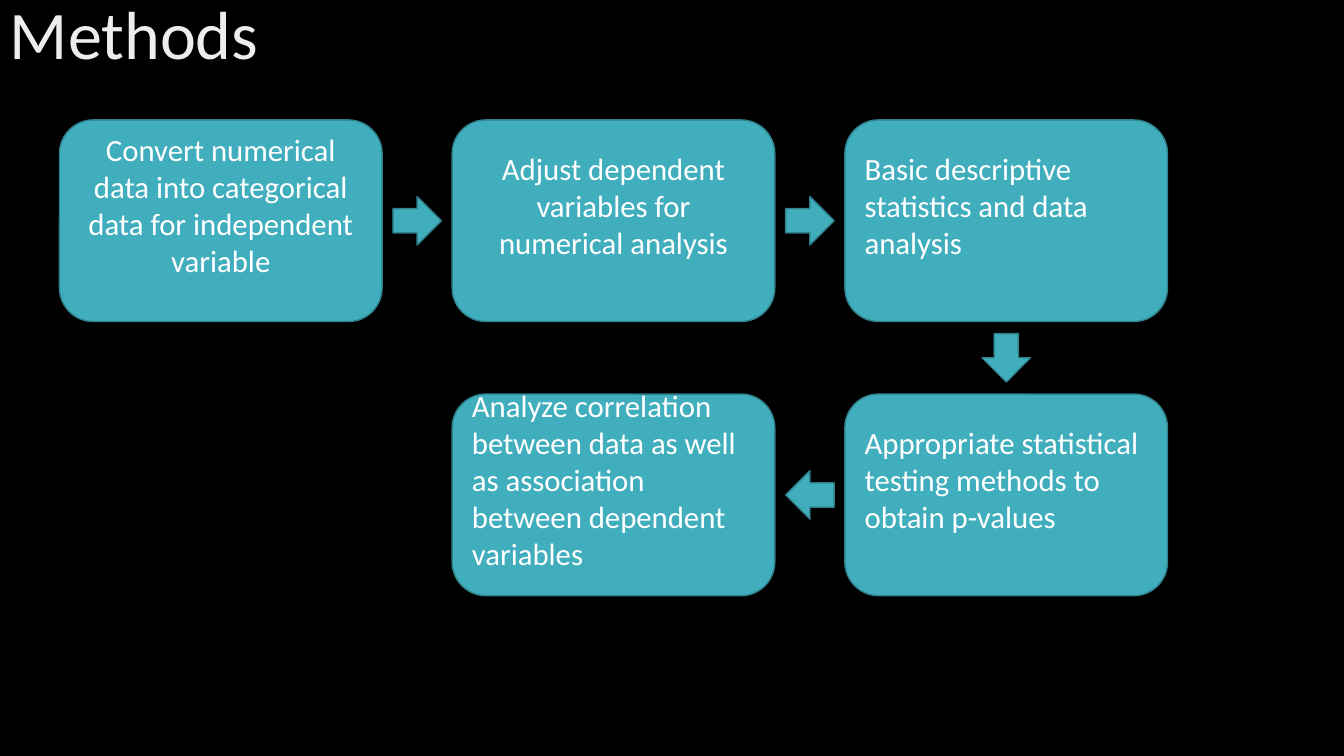
from itertools import pairwise
from math import atan2, degrees

from pptx import Presentation
from pptx.dml.color import RGBColor
from pptx.enum.shapes import MSO_SHAPE as Shape
from pptx.enum.text import MSO_ANCHOR as Anchor, PP_ALIGN as Align
from pptx.util import Inches, Pt

SLIDE_W, SLIDE_H = 13.33, 7.5
FONT = "Calibri"
TEAL, TEAL_EDGE = "41AEBD", "30818C"

# Flow grid: column and row pitch, step box and arrow size
COL_PITCH, ROW_PITCH = 3.895, 2.72
STEP_W, STEP_H = 3.2, 2
ARROW = 0.48

# Step text, (column, row), alignment, in order of the flow
STEPS = [
    ("Convert numerical data into categorical data for independent variable",
     (0, 0), Align.CENTER),
    ("Adjust dependent variables for numerical analysis", (1, 0), Align.CENTER),
    ("Basic descriptive statistics and data analysis", (2, 0), Align.LEFT),
    ("Appropriate statistical testing methods to obtain p-values",
     (2, 1), Align.LEFT),
    ("Analyze correlation between data as well as association between "
     "dependent variables", (1, 1), Align.LEFT),
]


def color(hex_code):
    return RGBColor.from_string(hex_code)


def write(holder, text, size, fill="FFFFFF", align=Align.LEFT, spacing=1.0,
          bottom=0.05):
    frame = holder.text_frame
    frame.word_wrap = True
    frame.vertical_anchor = Anchor.MIDDLE
    frame.margin_bottom = Inches(bottom)
    paragraph = frame.paragraphs[0]
    paragraph.alignment = align
    paragraph.line_spacing = spacing
    run = paragraph.add_run()
    run.text = text
    run.font.name = FONT
    run.font.size = Pt(size)
    run.font.color.rgb = color(fill)


def add_teal(slide, preset, center, width, height):
    x, y = center
    block = slide.shapes.add_shape(
        preset, Inches(x - width / 2), Inches(y - height / 2),
        Inches(width), Inches(height))
    block.shadow.inherit = False
    block.fill.solid()
    block.fill.fore_color.rgb = color(TEAL)
    block.line.color.rgb = color(TEAL_EDGE)
    block.line.width = Pt(1)
    return block


def add_title(slide, left, top, width, height):
    title = slide.shapes.add_textbox(
        Inches(left), Inches(top), Inches(width), Inches(height))
    write(title, "Methods", 48.6, fill="EDEDED", spacing=0.9)


def add_flow(slide, left, top):
    centers = [(left + col * COL_PITCH + STEP_W / 2,
                top + row * ROW_PITCH + STEP_H / 2)
               for _, (col, row), _ in STEPS]

    # Steps: the deep bottom margin lifts the text above the middle
    for (text, _, align), center in zip(STEPS, centers):
        step = add_teal(slide, Shape.ROUNDED_RECTANGLE, center, STEP_W, STEP_H)
        write(step, text, 22, align=align, bottom=0.36)

    # Arrows: halfway between neighbours, turned towards the next step
    for (x1, y1), (x2, y2) in pairwise(centers):
        middle = ((x1 + x2) / 2, (y1 + y2) / 2)
        arrow = add_teal(slide, Shape.RIGHT_ARROW, middle, ARROW, ARROW)
        arrow.rotation = degrees(atan2(y2 - y1, x2 - x1))


def main():
    deck = Presentation()
    deck.slide_width, deck.slide_height = Inches(SLIDE_W), Inches(SLIDE_H)
    slide = deck.slides.add_slide(deck.slide_layouts[6])
    slide.background.fill.solid()
    slide.background.fill.fore_color.rgb = color("000000")
    add_title(slide, 0, 0, 4.49, 0.74)
    add_flow(slide, 0.59, 1.19)
    deck.save("out.pptx")


if __name__ == "__main__":
    main()
